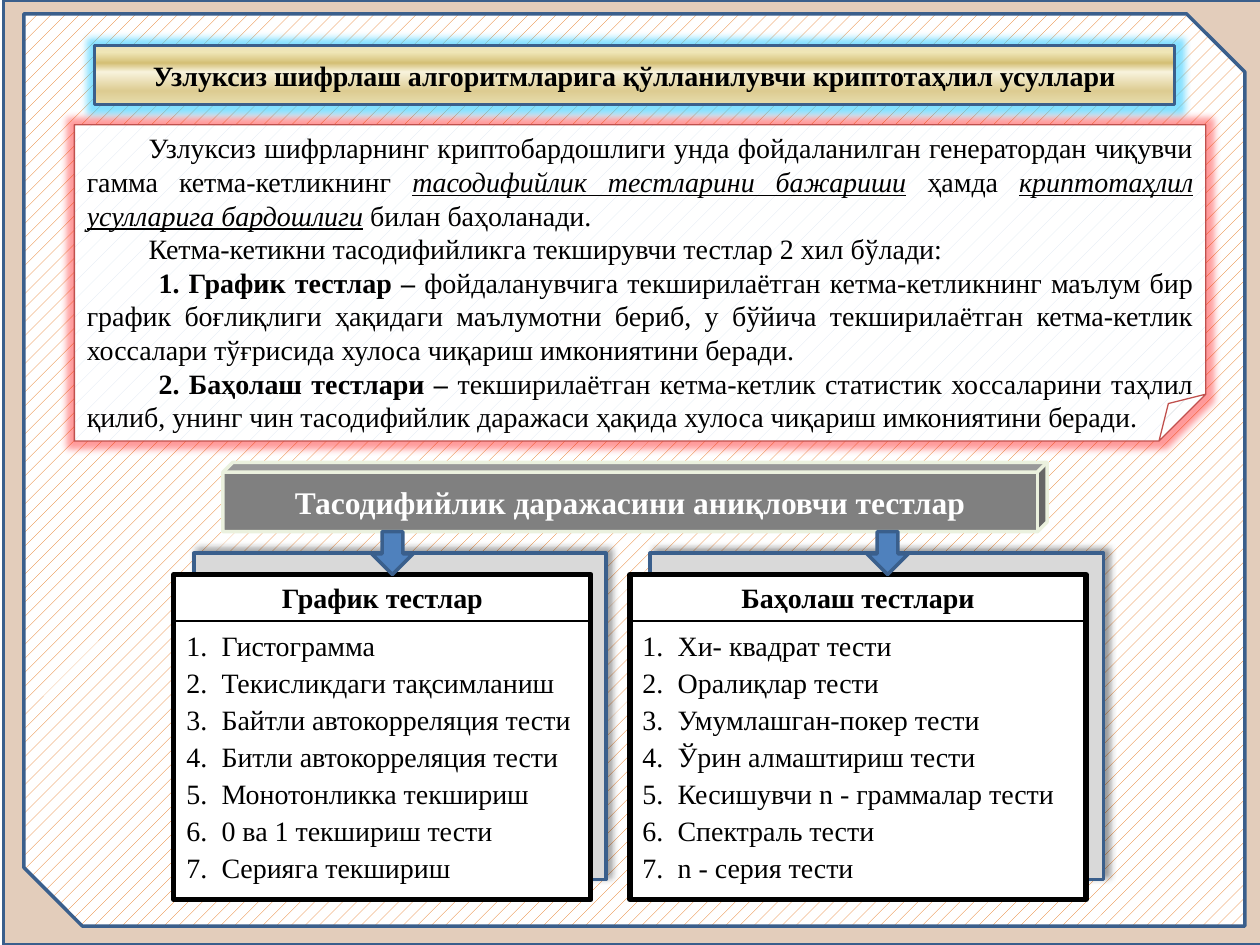
from lxml.etree import SubElement
from pptx import Presentation
from pptx.dml.color import RGBColor
from pptx.enum.dml import MSO_PATTERN
from pptx.enum.shapes import MSO_CONNECTOR, MSO_SHAPE
from pptx.enum.text import MSO_ANCHOR, PP_ALIGN
from pptx.oxml.ns import qn
from pptx.util import Inches, Pt

BLUE, BLACK, WHITE = "3A5F8C", "000000", "FFFFFF"
GOLD = [(0, "EBE3BD"), (12, "EFE6B6"), (30, "D4BF75"),
        (45, "F8F3DD"), (77, "DDCC92"), (100, "E6DCAC")]
HEAD = {"bold": True}
MARK = {"italic": True, "underline": True}
INTRO = [
    (0.49, [("Узлуксиз шифрларнинг криптобардошлиги унда фойдаланилган "
             "генератордан чиқувчи гамма кетма-кетликнинг ", {}),
            ("тасодифийлик тестларини бажариши", MARK),
            (" ҳамда ", {}),
            ("криптотаҳлил усулларига бардошлиги", MARK),
            (" билан баҳоланади.", {})]),
    (0.49, [("Кетма-кетикни тасодифийликга текширувчи тестлар 2 хил бўлади:", {})]),
    (0.57, [("1. График тестлар – ", HEAD),
            ("фойдаланувчига текширилаётган кетма-кетликнинг маълум бир график "
             "боғлиқлиги ҳақидаги маълумотни бериб, у бўйича текширилаётган "
             "кетма-кетлик хоссалари тўғрисида хулоса чиқариш имкониятини беради.", {})]),
    (0.57, [("2. Баҳолаш тестлари – ", HEAD),
            ("текширилаётган кетма-кетлик статистик хоссаларини таҳлил қилиб, "
             "унинг чин тасодифийлик даражаси ҳақида хулоса чиқариш "
             "имкониятини беради.", {})]),
]
# Card box, backing box, arrow left, heading, tests
CARDS = [
    ((1.38, 4.56, 3.31, 2.58), (1.54, 4.39, 3.27, 2.59), 2.95, "График тестлар",
     ["Гистограмма", "Текисликдаги тақсимланиш", "Байтли автокорреляция тести",
      "Битли автокорреляция тести", "Монотонликка текшириш",
      "0 ва 1 текшириш тести", "Серияга текшириш"]),
    ((5, 4.56, 3.62, 2.58), (5.16, 4.39, 3.6, 2.59), 6.88, "Баҳолаш тестлари",
     ["Хи- квадрат тести", "Оралиқлар тести", "Умумлашган-покер тести",
      "Ўрин алмаштириш тести", "Кесишувчи n - граммалар тести",
      "Спектраль тести", "n - серия тести"]),
]


def tint(code):
    return RGBColor.from_string(code)


def apply(item, values):
    for name, value in values.items():
        setattr(item, name, value)


def add(node, tag, **values):
    return SubElement(node, qn(tag), {k: str(v) for k, v in values.items()})


def color(node, code, alpha=100):
    """Add a colour element with opacity in percent."""
    add(add(node, "a:srgbClr", val=code), "a:alpha", val=alpha * 1000)


class Deck:
    def __init__(self, slide, font="Times New Roman", size=16):
        self.slide, self.font, self.size = slide, font, size

    def shape(self, kind, box, fill=None, line=BLUE, width=2, **adjust):
        item = self.slide.shapes.add_shape(kind, *map(Inches, box))
        item.shadow.inherit = False
        if adjust:
            guides = item._element.spPr.find(qn("a:prstGeom")).find(qn("a:avLst"))
            for old in list(guides):
                guides.remove(old)
            for name, value in adjust.items():
                add(guides, "a:gd", name=name, fmla=f"val {round(value * 100000)}")
        if fill:
            item.fill.solid()
            item.fill.fore_color.rgb = tint(fill)
        item.line.color.rgb = tint(line)
        item.line.width = Pt(width)
        return item

    def fade(self, item, alpha):
        node = item._element.spPr.find(qn("a:solidFill")).find(qn("a:srgbClr"))
        add(node, "a:alpha", val=alpha * 1000)

    def weave(self, item, kind, fore):
        item.fill.patterned()
        item.fill.pattern = kind
        item.fill.fore_color.rgb = tint(fore)
        item.fill.back_color.rgb = tint(WHITE)

    def blend(self, item, stops):
        """Fill from top to bottom with any number of colour stops."""
        item.fill.gradient()
        item.fill.gradient_angle = 270
        rows = item._element.spPr.find(qn("a:gradFill")).find(qn("a:gsLst"))
        for old in list(rows):
            rows.remove(old)
        for place, code in stops:
            color(add(rows, "a:gs", pos=place * 1000), code)

    def effect(self, item, tag, code, alpha, **values):
        group = item._element.spPr.find(qn("a:effectLst"))
        color(add(group, tag, **values), code, alpha)

    def line(self, left, right, y):
        item = self.slide.shapes.add_connector(
            MSO_CONNECTOR.STRAIGHT, *map(Inches, (left, y, right, y)))
        item.line.color.rgb = tint(BLACK)
        item.line.width = Pt(1.5)
        add(item._element.spPr, "a:effectLst")

    def frame(self, item, anchor=MSO_ANCHOR.TOP):
        apply(item.text_frame, {"word_wrap": True, "vertical_anchor": anchor})
        return item.text_frame

    def para(self, frame, runs, align, after=0, indent=0, number=False, **style):
        last = frame.paragraphs[-1]
        para = frame.add_paragraph() if last.runs else last
        apply(para, {"alignment": align, "space_after": Pt(after)})
        props = para._p.get_or_add_pPr()
        if indent:
            props.set("indent", str(Inches(indent)))
        if number:
            props.set("marL", str(Inches(-indent)))
            add(props, "a:buFont", typeface=self.font)
            add(props, "a:buAutoNum", type="arabicPeriod")
        for text, extra in runs:
            run = para.add_run()
            run.text = text
            base = {"name": self.font, "size": Pt(self.size)}
            look = {"color": BLACK, **base, **style, **extra}
            run.font.color.rgb = tint(look.pop("color"))
            apply(run.font, look)


def main():
    show = Presentation()
    show.slide_width, show.slide_height = Inches(10), Inches(7.5)
    deck = Deck(show.slides.add_slide(show.slide_layouts[6]))

    back = deck.shape(MSO_SHAPE.RECTANGLE, (0.03, 0, 10, 7.5), "984807")
    deck.fade(back, 27)
    page = deck.shape(MSO_SHAPE.SNIP_2_DIAG_RECTANGLE, (0.19, 0.11, 9.69, 7.24),
                      adj1=0, adj2=0.064)
    deck.weave(page, MSO_PATTERN.PERCENT_10, "E46C0A")

    title = deck.shape(MSO_SHAPE.ROUNDED_RECTANGLE, (0.75, 0.36, 8.57, 0.47), adj=0)
    deck.blend(title, GOLD)
    deck.effect(title, "a:glow", "33CCFF", 60, rad=Pt(8))
    deck.para(deck.frame(title, MSO_ANCHOR.MIDDLE),
              [("Узлуксиз шифрлаш алгоритмларига қўлланилувчи криптотаҳлил усуллари", HEAD)],
              PP_ALIGN.CENTER)

    banner = deck.shape(MSO_SHAPE.CUBE, (1.77, 3.67, 6.54, 0.55), "808080", "EBF1DE",
                        adj=0.139)
    deck.para(deck.frame(banner, MSO_ANCHOR.MIDDLE),
              [("Тасодифийлик даражасини аниқловчи тестлар", HEAD)],
              PP_ALIGN.CENTER, after=6, size=Pt(18), color=WHITE)

    for box, rear, arrow, head, tests in CARDS:
        shade = deck.shape(MSO_SHAPE.RECTANGLE, rear, "D9D9D9")
        deck.effect(shade, "a:outerShdw", BLACK, 40, blurRad=Pt(4), dist=Pt(3),
                    dir=315 * 60000, algn="bl", rotWithShape=0)
        card = deck.shape(MSO_SHAPE.RECTANGLE, box, WHITE, BLACK, 3)
        frame = deck.frame(card)
        deck.para(frame, [(head, HEAD)], PP_ALIGN.CENTER, after=8)
        for test in tests:
            deck.para(frame, [(test, {})], PP_ALIGN.LEFT, after=2,
                      indent=-0.28, number=True)
        deck.shape(MSO_SHAPE.DOWN_ARROW, (arrow, 4.22, 0.33, 0.34), "4F81BD")
        deck.line(box[0], box[0] + box[2], 4.93)

    note = deck.shape(MSO_SHAPE.FOLDED_CORNER, (0.59, 0.99, 8.98, 2.51),
                      line="C0504D", width=0.75, adj=0.148)
    deck.weave(note, MSO_PATTERN.PERCENT_5, "DCE6F2")
    deck.effect(note, "a:glow", "FF0000", 40, rad=Pt(8))
    frame = deck.frame(note)
    for indent, runs in INTRO:
        deck.para(frame, runs, PP_ALIGN.JUSTIFY, indent=indent)

    show.save("out.pptx")


if __name__ == "__main__":
    main()
